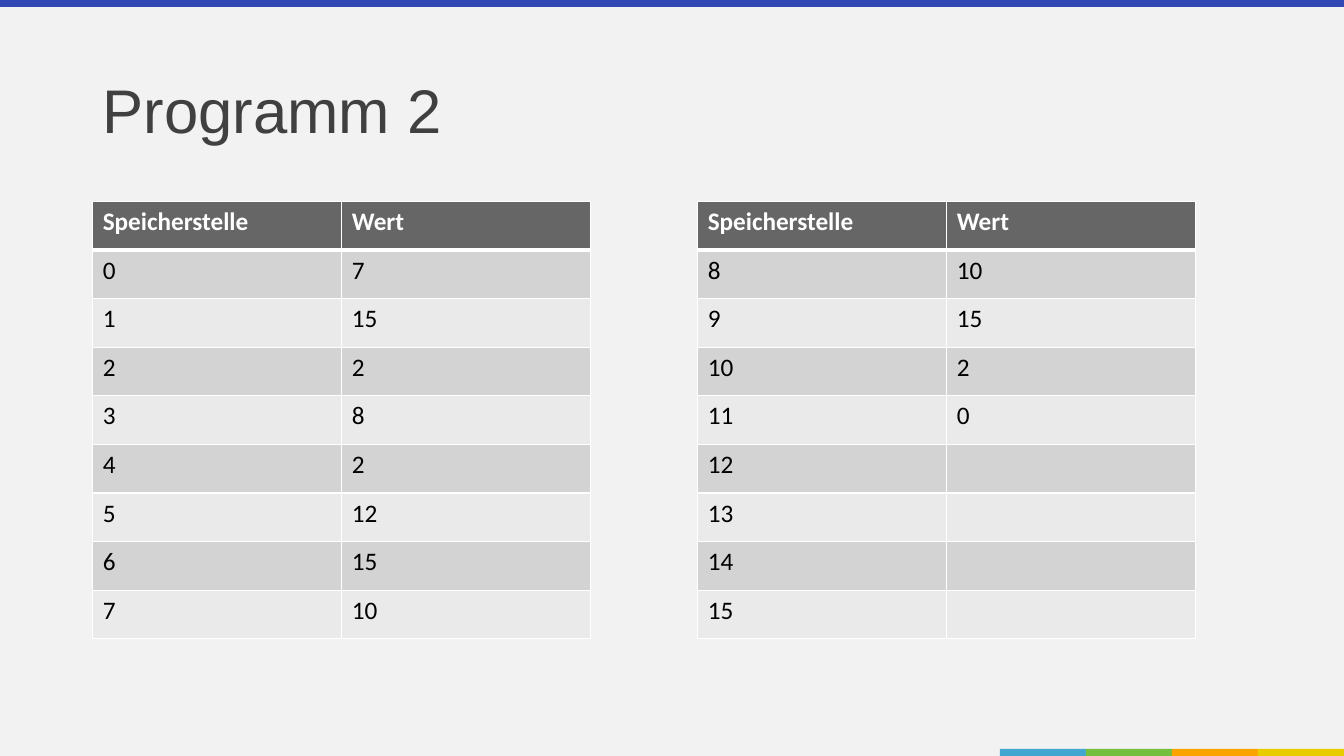
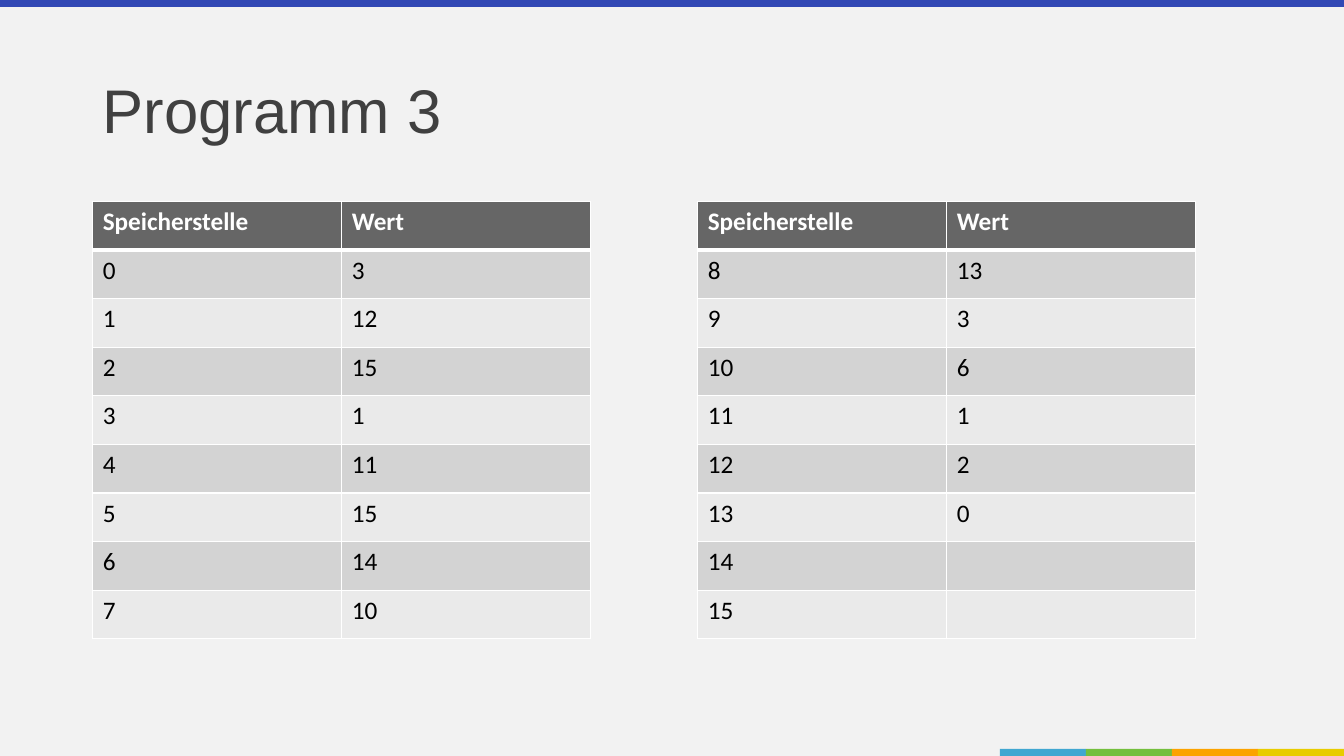
from lxml.etree import SubElement
from pptx import Presentation
from pptx.dml.color import RGBColor
from pptx.enum.shapes import MSO_SHAPE
from pptx.enum.text import MSO_ANCHOR, PP_ALIGN
from pptx.oxml.ns import qn
from pptx.util import Inches, Pt

COLORS = {
    "background": "F2F2F2",
    "title": "404040",
    "top": "3248B5",
    "footer": ["41A7D1", "74BF3D", "FBA300", "E8CC00"],
    "header": "666666",
    "rows": ["EAEAEA", "D3D3D3"],
    "white": "FFFFFF",
    "black": "000000",
}
HEADINGS = ["Speicherstelle", "Wert"]
PROGRAMS = {
    "Programm 2": [7, 15, 2, 8, 2, 12, 15, 10, 10, 15, 2, 0],
    "Programm 3": [3, 12, 15, 1, 11, 15, 14, 10, 13, 3, 6, 1, 2, 0],
}
CELLS_PER_TABLE = 8
TABLE_LEFTS = [Inches(0.92), Inches(6.92)]
TABLE_TOP, TABLE_WIDTH, TABLE_HEIGHT = Inches(2), Inches(4.94), Inches(4.34)


def add_run(paragraph, text, font, size, color, bold=False):
    run = paragraph.add_run()
    run.text = text
    run.font.name = font
    run.font.size = Pt(size)
    run.font.bold = bold
    run.font.color.rgb = RGBColor.from_string(color)


def format_cell(cell, text, fill, color, borders, bold):
    properties = cell._tc.get_or_add_tcPr()
    for side, points in borders.items():
        line = SubElement(properties, qn(f"a:ln{side}"), w=str(Pt(points)))
        SubElement(SubElement(line, qn("a:solidFill")), qn("a:srgbClr"), val=COLORS["white"])
    cell.fill.solid()
    cell.fill.fore_color.rgb = RGBColor.from_string(fill)
    if text:
        add_run(cell.text_frame.paragraphs[0], text, "Calibri", 18, color, bold)


deck = Presentation()
deck.slide_width, deck.slide_height = Inches(13.33), Inches(7.5)
width, height = deck.slide_width, deck.slide_height
master = deck.slide_master
layout = deck.slide_layouts.get_by_name("Title Only")

master.background.fill.solid()
master.background.fill.fore_color.rgb = RGBColor.from_string(COLORS["background"])

layout_title = layout.placeholders[0]
layout_title.left, layout_title.top = Inches(0.92), Inches(0.4)
layout_title.width, layout_title.height = Inches(11.5), Inches(1.45)
layout_title.text_frame.vertical_anchor = MSO_ANCHOR.MIDDLE

slides = [deck.slides.add_slide(layout) for program in PROGRAMS]

band_height = Inches(0.07)
segment = int(width * 0.064)
segment_count = len(COLORS["footer"])
bands = [(0, 0, width, COLORS["top"])]
for index, color in enumerate(COLORS["footer"]):
    bands.append((width - (segment_count - index) * segment, height - band_height, segment, color))
for left, top, band_width, color in bands:
    band = slides[0].shapes.add_shape(MSO_SHAPE.RECTANGLE, left, top, band_width, band_height)
    band.shadow.inherit = False
    band.fill.solid()
    band.fill.fore_color.rgb = RGBColor.from_string(color)
    band.line.fill.background()
    master.shapes.element.append(band.element)

for slide, (program, values) in zip(slides, PROGRAMS.items()):
    heading = slide.shapes.title.text_frame.paragraphs[0]
    heading.alignment = PP_ALIGN.LEFT
    heading.line_spacing = 0.9
    add_run(heading, program, "Arial", 44, COLORS["title"])

    for part, left in enumerate(TABLE_LEFTS):
        memory = slide.shapes.add_table(
            CELLS_PER_TABLE + 1, len(HEADINGS), left, TABLE_TOP, TABLE_WIDTH, TABLE_HEIGHT
        ).table
        for column, text in enumerate(HEADINGS):
            format_cell(memory.cell(0, column), text, COLORS["header"], COLORS["white"],
                        {"L": 1, "R": 1, "T": 1, "B": 3}, True)
        for row in range(1, CELLS_PER_TABLE + 1):
            address = part * CELLS_PER_TABLE + row - 1
            value = str(values[address]) if address < len(values) else ""
            for column, text in enumerate([str(address), value]):
                format_cell(memory.cell(row, column), text, COLORS["rows"][row % 2],
                            COLORS["black"], {"L": 1, "R": 1, "B": 1}, False)

deck.save("out.pptx")
